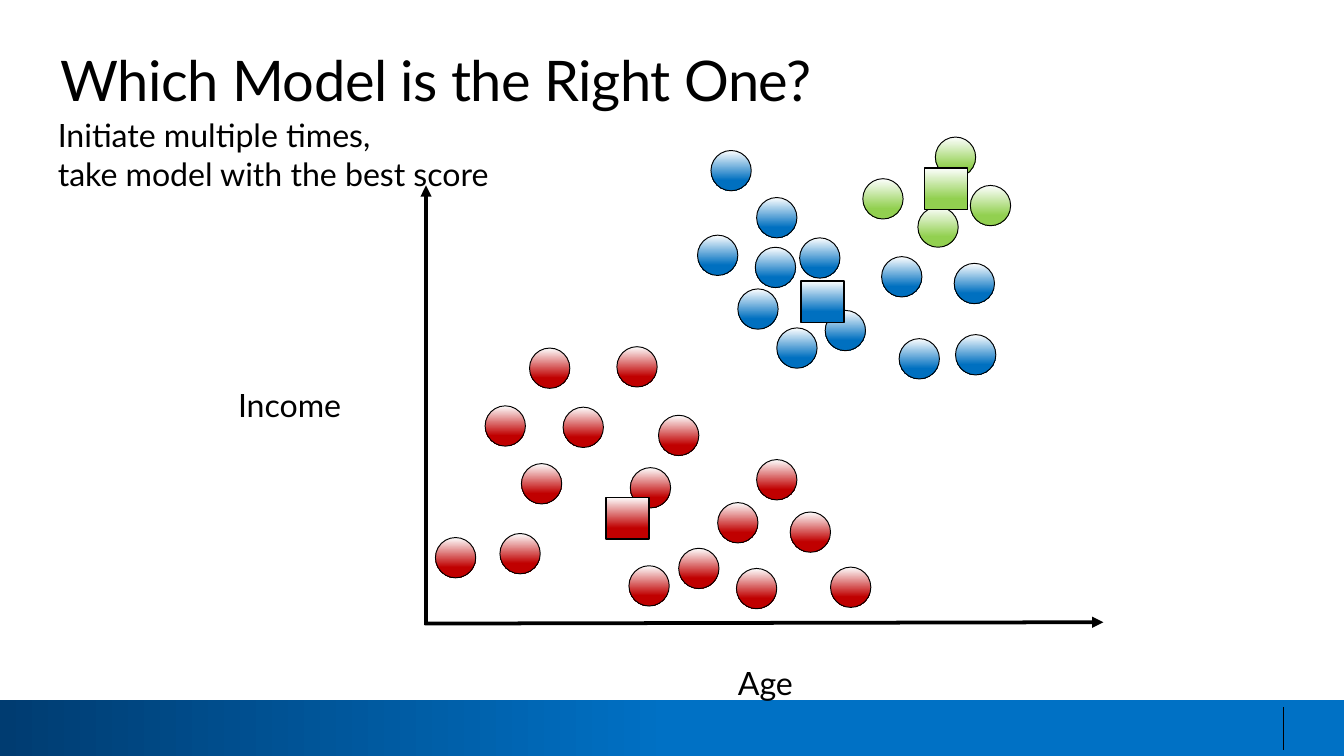
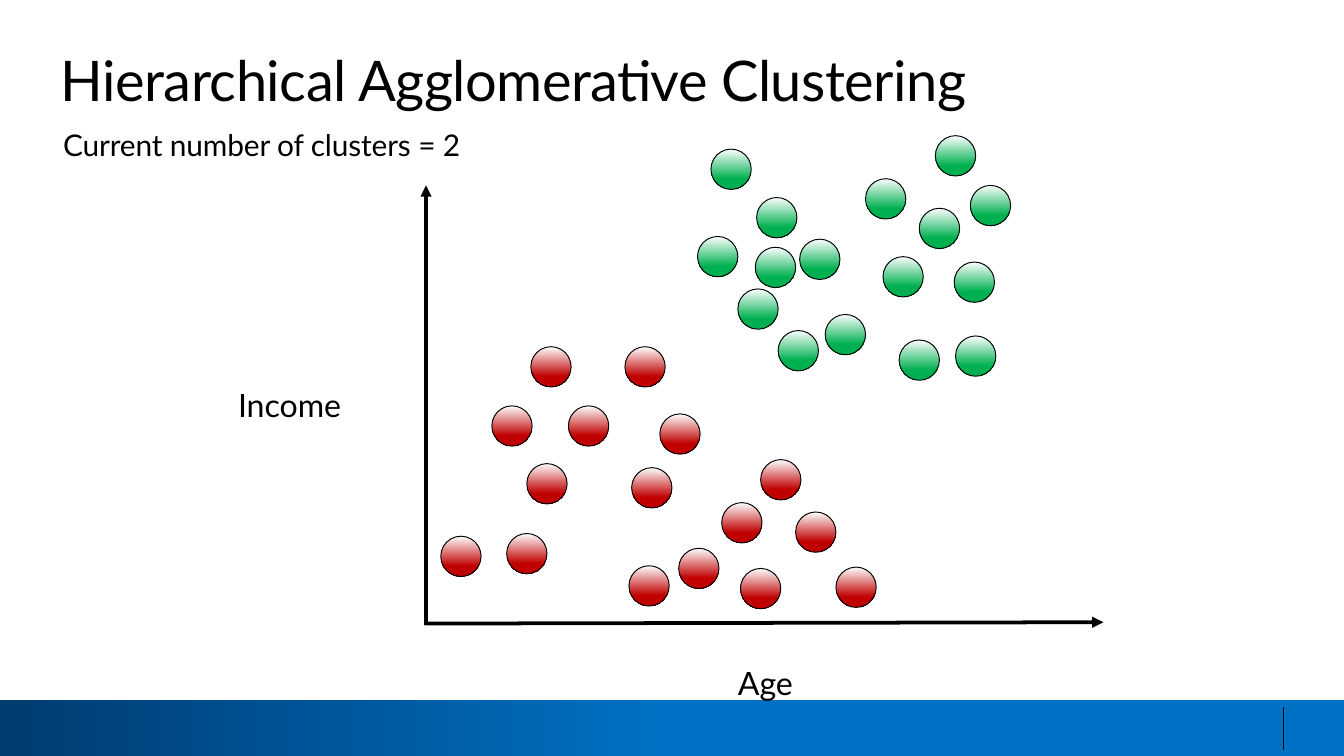
from dataclasses import dataclass

from lxml.etree import SubElement
from pptx import Presentation
from pptx.dml.color import RGBColor
from pptx.enum.shapes import MSO_CONNECTOR, MSO_SHAPE
from pptx.enum.text import MSO_ANCHOR, MSO_AUTO_SIZE, PP_ALIGN
from pptx.oxml.ns import qn
from pptx.util import Emu, Pt

PX = 9144
WIDTH = 1000
DOT = 30
CENTROID = (32, 31)


@dataclass(frozen=True)
class Theme:
    """Colours, font and type sizes shared by the slides."""

    font: str = "Lato"
    ink: str = "000000"
    highlight: str = "FEFFFF"
    band_dark: str = "003C71"
    band_light: str = "0071C5"
    red: str = "C00000"
    blue: str = "0070C0"
    lime: str = "92D050"
    green: str = "00B050"
    title: float = 30
    label: float = 17.2
    note: float = 16
    label_leading: float = 28.5


THEME = Theme()

MODEL_CLUSTERS = {
    THEME.blue: [
        (529, 112), (519, 175), (563, 147), (562, 184), (549, 215), (595, 177),
        (614, 231), (578, 244), (669, 252), (711, 249), (710, 196), (656, 191),
    ],
    THEME.lime: [(683, 154), (722, 138), (696, 102), (642, 133)],
    THEME.red: [
        (324, 400), (361, 302), (394, 259), (419, 303), (459, 258), (490, 309),
        (469, 348), (388, 345), (372, 397), (468, 421), (505, 408), (534, 374),
        (563, 342), (588, 381), (548, 423), (618, 422),
    ],
}
MODEL_CENTROIDS = {
    THEME.red: (451, 370),
    THEME.blue: (596, 209),
    THEME.lime: (688, 125),
}
MERGED_CLUSTERS = {
    THEME.red: [
        (470, 348), (491, 308), (465, 258), (423, 302), (392, 345), (366, 302),
        (395, 258), (377, 397), (328, 399), (566, 342), (592, 381), (622, 422),
        (468, 421), (505, 408), (537, 374), (551, 423),
    ],
    THEME.green: [
        (669, 253), (711, 250), (710, 195), (657, 191), (684, 155), (644, 133),
        (696, 101), (722, 138), (579, 246), (614, 234), (529, 111), (519, 176),
        (563, 147), (562, 184), (549, 215), (595, 178),
    ],
}


def px(*lengths):
    """Turn px lengths into EMU."""
    return [Emu(length * PX) for length in lengths]


def colour(code):
    """Turn a hex code into a colour."""
    return RGBColor.from_string(code)


def add_gradient_shape(page, preset, frame, start, end, angle, line_width=None):
    """Draw a preset shape with a two-stop gradient given as (position, colour)."""
    shape = page.shapes.add_shape(preset, *px(*frame))
    shape.shadow.inherit = False
    shape.fill.gradient()
    shape.fill.gradient_angle = angle
    for stop, (position, code) in zip(shape.fill.gradient_stops, (start, end)):
        stop.position = position
        stop.color.rgb = colour(code)
    if line_width is None:
        shape.line.fill.background()
    else:
        shape.line.color.rgb = colour(THEME.ink)
        shape.line.width = Pt(line_width)


def add_marker(page, preset, frame, code, line_width):
    """Draw a glossy data marker that fades from white down to its colour."""
    add_gradient_shape(
        page, preset, frame, (0, THEME.highlight), (0.74, code), 270, line_width
    )


def add_line(page, begin, end, width, arrow=False):
    """Draw a straight black line, with an arrowhead at its end if asked."""
    line = page.shapes.add_connector(MSO_CONNECTOR.STRAIGHT, *px(*begin, *end))
    line.line.color.rgb = colour(THEME.ink)
    line.line.width = Pt(width)
    if arrow:
        SubElement(line._element.spPr.find(qn("a:ln")), qn("a:tailEnd"), type="triangle")
    SubElement(line._element.spPr, qn("a:effectLst"))


def write_text(box, lines, size, align=PP_ALIGN.LEFT, leading=None, tracking=0):
    """Fill a box with one paragraph per line, without margins."""
    frame = box.text_frame
    frame.margin_left = frame.margin_right = 0
    frame.margin_top = frame.margin_bottom = 0
    frame.word_wrap = True
    frame.auto_size = MSO_AUTO_SIZE.SHAPE_TO_FIT_TEXT
    frame.vertical_anchor = MSO_ANCHOR.TOP
    for index, line in enumerate(lines):
        para = frame.add_paragraph() if index else frame.paragraphs[0]
        span = para.add_run()
        span.text = line
        para.alignment = align
        para.line_spacing = leading
        para.font.name = THEME.font
        para.font.size = Pt(size)
        para.font.color.rgb = colour(THEME.ink)
        para._p.get_or_add_pPr().set("marL", str(PX))
        para._p.get_or_add_pPr().set("indent", "0")
        if tracking:
            span._r.get_or_add_rPr().set("spc", str(tracking))


def add_text(page, frame, lines, size, **style):
    """Add a text box."""
    write_text(page.shapes.add_textbox(*px(*frame)), lines, size, **style)


def add_page(deck, title):
    """Add a slide with the shared band and title style."""
    page = deck.slides.add_slide(deck.slide_layouts[5])
    heading = page.shapes.title
    heading.left, heading.top, heading.width, heading.height = px(44, 34, 923, 50)
    write_text(heading, [title], THEME.title, tracking=-26)
    add_gradient_shape(
        page, MSO_SHAPE.RECTANGLE, (0, 521, WIDTH, 42),
        (0, THEME.band_dark), (0.5, THEME.band_light), 0,
    )
    add_line(page, (955, 526), (955, 558), 0.75)
    return page


def add_scatter(page, clusters):
    """Draw labelled axes and the dots of each cluster."""
    for text, frame in (("Age", (388, 483, 362, 38)), ("Income", (162, 276, 106, 38))):
        add_text(
            page, frame, [text], THEME.label,
            align=PP_ALIGN.CENTER, leading=Pt(THEME.label_leading),
        )
    add_line(page, (317, 465), (317, 138), 2, arrow=True)
    add_line(page, (316, 464), (821, 463), 2, arrow=True)
    for code, corners in clusters.items():
        for corner in corners:
            add_marker(page, MSO_SHAPE.OVAL, (*corner, DOT, DOT), code, 0.5)


def build_model_page(deck):
    """Build the slide on choosing among models."""
    page = add_page(deck, "Which Model is the Right One?")
    add_scatter(page, MODEL_CLUSTERS)
    lines = ["Initiate multiple times,", "take model with the best score"]
    add_text(page, (42, 86, 508, 58), lines, THEME.label)
    for code, corner in MODEL_CENTROIDS.items():
        add_marker(page, MSO_SHAPE.RECTANGLE, (*corner, *CENTROID), code, 0.75)


def build_hierarchy_page(deck):
    """Build the slide on agglomerative clustering."""
    page = add_page(deck, "Hierarchical Agglomerative Clustering")
    add_scatter(page, MERGED_CLUSTERS)
    add_text(
        page, (46, 81, 547, 40), ["Current number of clusters = 2"], THEME.note,
        leading=1.5, tracking=-7,
    )


def main():
    """Build and save the deck."""
    deck = Presentation()
    deck.slide_width = Emu(WIDTH * PX)
    deck.slide_height = Emu(WIDTH * PX * 9 // 16)
    build_model_page(deck)
    build_hierarchy_page(deck)
    deck.save("out.pptx")


if __name__ == "__main__":
    main()
